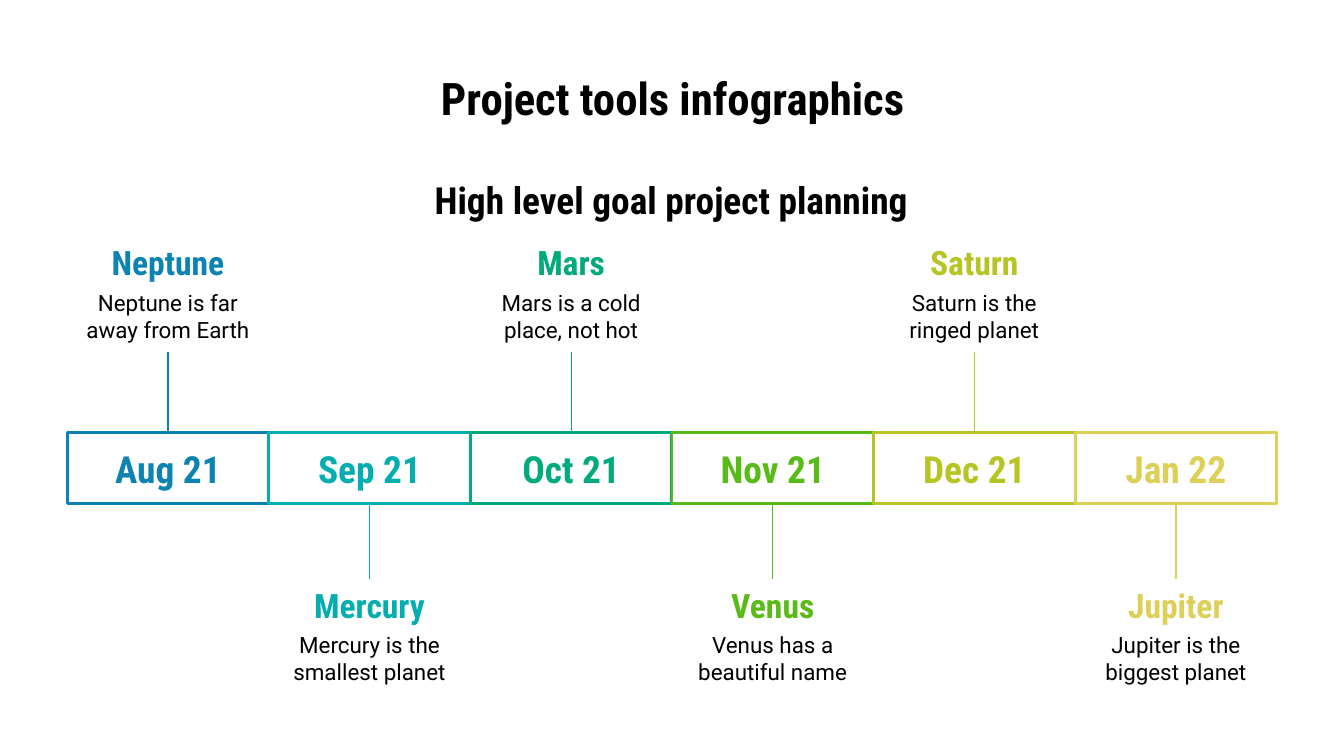
import pptx
import pptx.util
import pptx.dml.color
import pptx.enum.shapes
import pptx.enum.text
import pptx.oxml.ns
import lxml.etree

Inches = pptx.util.Inches
RGBColor = pptx.dml.color.RGBColor

BLACK = RGBColor(0x00, 0x00, 0x00)
BLUE = RGBColor(0x0D, 0x83, 0xB1)
TEAL = RGBColor(0x04, 0xAE, 0xAE)
JADE = RGBColor(0x00, 0xAA, 0x7D)
GREEN = RGBColor(0x59, 0xBB, 0x18)
LIME = RGBColor(0xB6, 0xC5, 0x24)
YELLOW = RGBColor(0xDD, 0xD0, 0x58)

HEAD = "Roboto Condensed"
BODY = "Roboto"
LEFT, STEP = 0.5, 1.5
TOP, HIGH = 3.22, 0.53
WIDE = 1.43

MONTHS = [
    ("Aug 21", "Neptune", "Neptune is far away from Earth", BLUE),
    ("Sep 21", "Mercury", "Mercury is the smallest planet", TEAL),
    ("Oct 21", "Mars", "Mars is a cold place, not hot", JADE),
    ("Nov 21", "Venus", "Venus has a beautiful name", GREEN),
    ("Dec 21", "Saturn", "Saturn is the ringed planet", LIME),
    ("Jan 22", "Jupiter", "Jupiter is the biggest planet", YELLOW),
]


def write(shape, text, size, color, face=HEAD):
    frame = shape.text_frame
    frame.word_wrap = True
    frame.vertical_anchor = pptx.enum.text.MSO_ANCHOR.MIDDLE
    frame.margin_left = frame.margin_right = Inches(0.1)
    frame.margin_top = frame.margin_bottom = Inches(0.1)
    para = frame.paragraphs[0]
    para.alignment = pptx.enum.text.PP_ALIGN.CENTER
    run = para.add_run()
    run.text = text
    run.font.name = face
    run.font.size = pptx.util.Pt(size)
    run.font.bold = face == HEAD
    run.font.color.rgb = color


def label(slide, box, text, size, color=BLACK, face=HEAD):
    shape = slide.shapes.add_textbox(*map(Inches, box))
    write(shape, text, size, color, face)


def month(slide, left, text, color):
    kind = pptx.enum.shapes.MSO_SHAPE.RECTANGLE
    box = (left, TOP, STEP, HIGH)
    shape = slide.shapes.add_shape(kind, *map(Inches, box))
    shape.shadow.inherit = False
    shape.fill.background()
    shape.line.color.rgb = color
    shape.line.width = pptx.util.Pt(1.5)
    write(shape, text, 20, color)


def stem(slide, x, start, end, color):
    kind = pptx.enum.shapes.MSO_CONNECTOR.STRAIGHT
    line = slide.shapes.add_connector(kind, *map(Inches, (x, start, x, end)))
    line.line.color.rgb = color
    line.line.width = pptx.util.Pt(0.75)
    tag = pptx.oxml.ns.qn("a:effectLst")
    lxml.etree.SubElement(line._element.spPr, tag)


def planet(slide, mid, top, name, note, color):
    left = mid - WIDE / 2
    label(slide, (left, top, WIDE, 0.38), name, 18, color)
    label(slide, (left, top + 0.31, WIDE, 0.56), note, 12, face=BODY)


def main():
    """Build the project timeline slide and save it."""
    deck = pptx.Presentation()
    deck.slide_width = Inches(10)
    deck.slide_height = Inches(10) * 9 // 16
    slide = deck.slides.add_slide(deck.slide_layouts[6])

    label(slide, (0.79, 0.49, 8.43, 0.47), "Project tools infographics", 24)
    label(slide, (2.7, 1.28, 4.59, 0.41), "High level goal project planning", 20)

    for index, (date, name, note, color) in enumerate(MONTHS):
        left = LEFT + index * STEP
        mid = left + STEP / 2
        month(slide, left, date, color)
        if index % 2 == 0:
            planet(slide, mid, 1.76, name, note, color)
            stem(slide, mid, 2.62, TOP, color)
        else:
            planet(slide, mid, 4.31, name, note, color)
            stem(slide, mid, 4.31, TOP + HIGH, color)

    deck.save("out.pptx")


if __name__ == "__main__":
    main()
